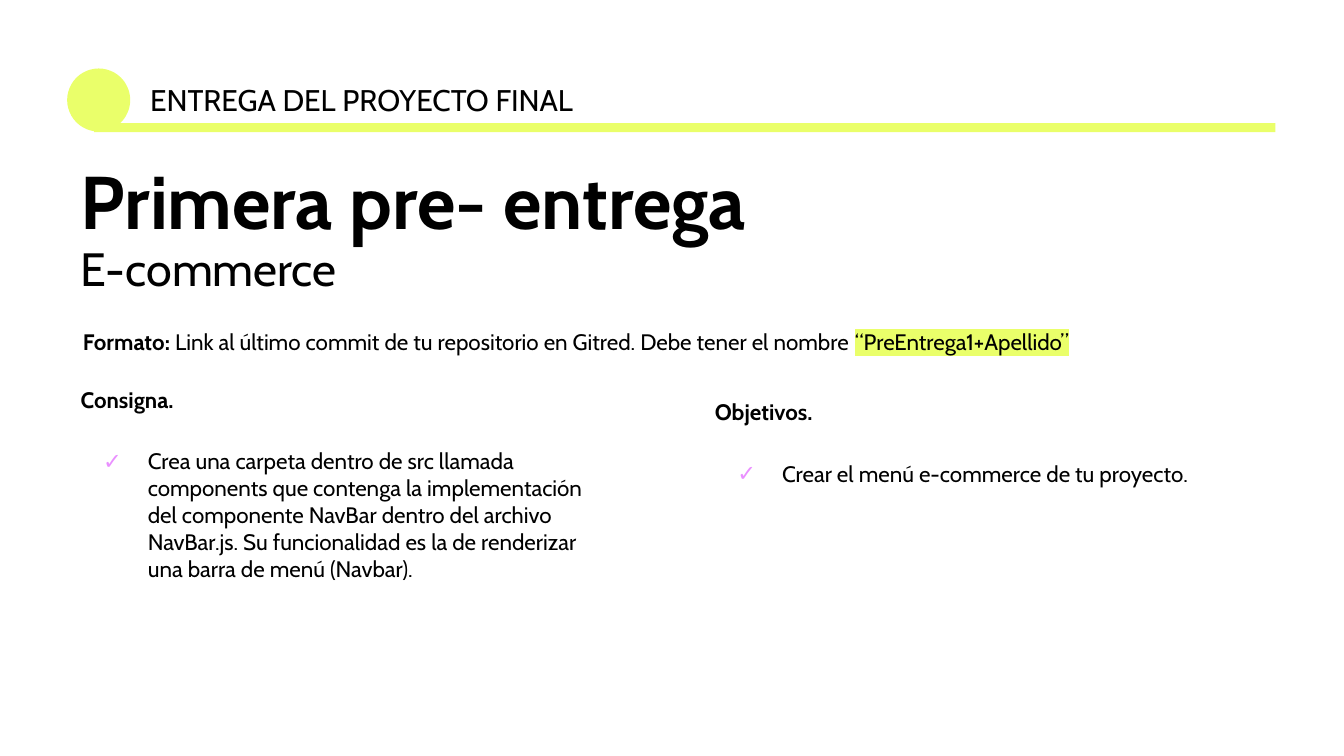
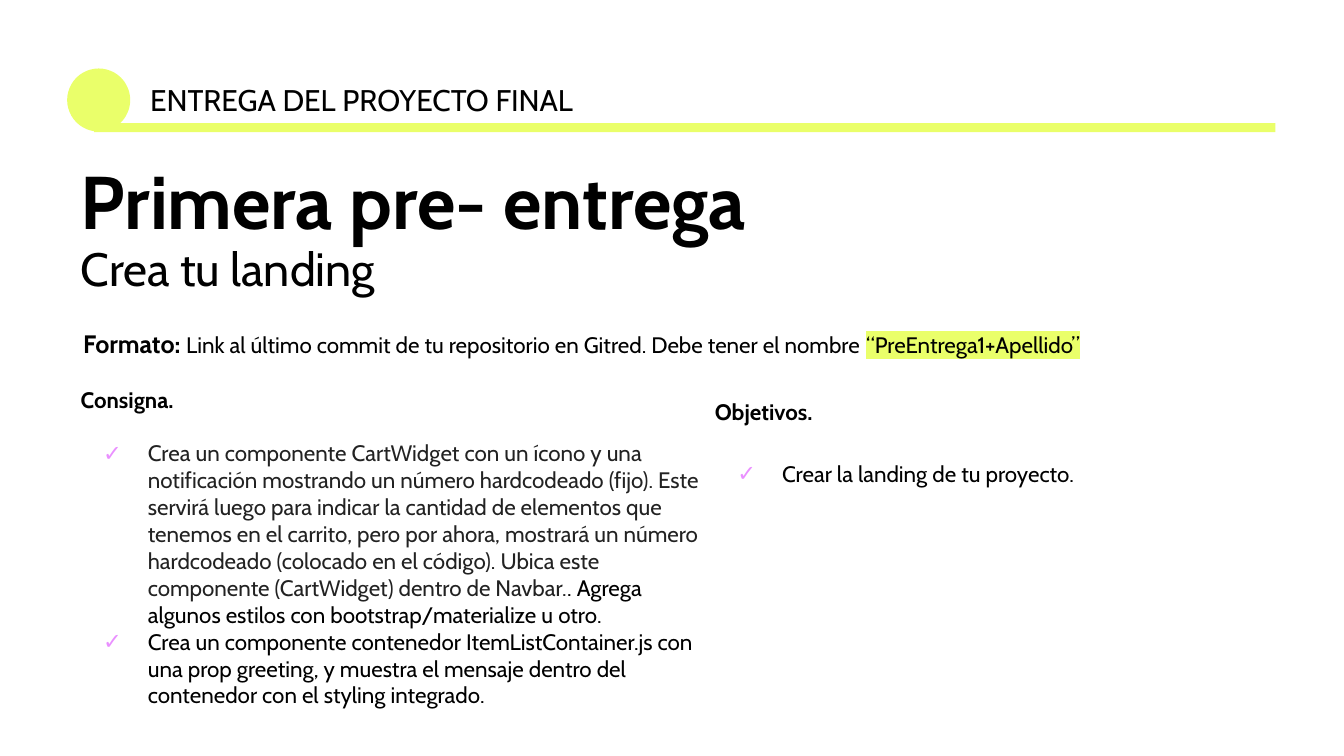
from dataclasses import dataclass

from lxml import etree
from pptx import Presentation
from pptx.dml.color import RGBColor
from pptx.enum.shapes import MSO_SHAPE
from pptx.enum.text import MSO_ANCHOR, MSO_AUTO_SIZE, PP_ALIGN
from pptx.oxml.ns import qn
from pptx.util import Pt

OVAL, RECT = MSO_SHAPE.OVAL, MSO_SHAPE.RECTANGLE
TOP, LEFT = MSO_ANCHOR.TOP, PP_ALIGN.LEFT
FIXED = MSO_AUTO_SIZE.NONE


@dataclass(frozen=True)
class Theme:
    font: str = "Cabin"
    ink: str = "000000"
    gray: str = "222222"
    lime: str = "EAFF6A"
    pink: str = "EA90FF"
    title: float = 40
    sub: float = 25
    label: float = 16
    lead: float = 13.5
    body: float = 12


theme = Theme()


def write(para, text, size=theme.body, bold=False, color=theme.ink, mark=None):
    """Add one run to a paragraph; mark is a highlight colour."""
    run = para.add_run()
    run.text = text
    font = run.font
    font.size, font.bold, font.name = Pt(size), bold, theme.font
    font.color.rgb = RGBColor.from_string(color)
    if mark:
        light = etree.Element(qn("a:highlight"))
        etree.SubElement(light, qn("a:srgbClr"), val=mark)
        font._element.find(qn("a:latin")).addprevious(light)


def place(shape, box):
    """Move a text shape and return its frame, ready for text."""
    shape.left, shape.top, shape.width, shape.height = map(Pt, box)
    frame = shape.text_frame
    frame.word_wrap, frame.auto_size = True, FIXED
    frame.vertical_anchor = TOP
    frame.margin_left = frame.margin_right = Pt(7.2)
    frame.margin_top = frame.margin_bottom = Pt(7.2)
    return frame


# Slide content: each bullet is a list of (text, colour) runs
pages = [
    {
        "sub": "E-commerce",
        "lead": theme.body,
        "width": 616.3,
        "depth": 28.8,
        "tasks": [[(
            "Crea una carpeta dentro de src llamada components que contenga la "
            "implementación del componente NavBar dentro del archivo NavBar.js. "
            "Su funcionalidad es la de renderizar una barra de menú (Navbar).",
            theme.ink)]],
        "task box": (36, 199.4, 301.7, 167),
        "task gap": 18.8,
        "goal": "Crear el menú e-commerce de tu proyecto.",
        "goal depth": 90.7,
    },
    {
        "sub": "Crea tu landing",
        "lead": theme.lead,
        "width": 627.8,
        "depth": 31,
        "tasks": [
            [("Crea un componente CartWidget con un ícono y una notificación "
              "mostrando un número hardcodeado (fijo). Este servirá luego para "
              "indicar la cantidad de elementos que tenemos en el carrito, pero "
              "por ahora, mostrará un número hardcodeado (colocado en el código). "
              "Ubica este componente (CartWidget) dentro de Navbar.", theme.gray),
             (". Agrega algunos estilos con bootstrap/materialize u otro.",
              theme.ink)],
            [("Crea un componente contenedor ItemListContainer.js con una prop "
              "greeting, y muestra el mensaje dentro del contenedor con el "
              "styling integrado.", theme.ink)],
        ],
        "task box": (36, 199.4, 354.2, 235.4),
        "task gap": 14.5,
        "goal": "Crear la landing de tu proyecto.",
        "goal depth": 75.6,
    },
]

deck = Presentation()
deck.slide_width, deck.slide_height = Pt(720), Pt(405)
layout = deck.slide_layouts.get_by_name("Two Content")

for page in pages:
    slide = deck.slides.add_slide(layout)
    shapes = slide.shapes

    # Header band
    for kind, box in ((OVAL, (36, 36.7, 33.8, 33.8)),
                      (RECT, (50.4, 66, 632.9, 4.8))):
        band = shapes.add_shape(kind, *map(Pt, box))
        band.shadow.inherit = False
        band.fill.solid()
        band.fill.fore_color.rgb = RGBColor.from_string(theme.lime)
        band.line.fill.background()
    box = (73.4, 36.7, 252, 33.8)
    frame = place(shapes.add_textbox(*map(Pt, box)), box)
    write(frame.paragraphs[0], "ENTREGA DEL PROYECTO FINAL", size=theme.label)

    # Title and subtitle
    frame = place(shapes.title, (36, 81.4, 575.3, 85.7))
    write(frame.paragraphs[0], "Primera pre- entrega", size=theme.title, bold=True)
    write(frame.add_paragraph(), page["sub"], size=theme.sub)
    for para in frame.paragraphs:
        para.alignment, para.line_spacing = LEFT, 0.9

    # Format line
    box = (37.4, 168.5, page["width"], page["depth"])
    para = place(shapes.add_textbox(*map(Pt, box)), box).paragraphs[0]
    write(para, "Formato: ", size=page["lead"], bold=True)
    write(para, "Link al último commit de tu repositorio en Gitred. "
                "Debe tener el nombre ")
    write(para, "“PreEntrega1+Apellido”", mark=theme.lime)

    # Columns: a bold heading over check-marked items
    columns = (
        (1, "Consigna.", page["task box"], page["task gap"], page["tasks"]),
        (2, "Objetivos.", (375.8, 205.9, 289.4, page["goal depth"]), 18.8,
         [[(page["goal"], theme.ink)]]),
    )
    for slot, head, box, gap, items in columns:
        frame = place(slide.placeholders[slot], box)
        para = frame.paragraphs[0]
        write(para, head, bold=True)
        para.space_before, para.space_after = Pt(0), Pt(gap)
        props = para._p.get_or_add_pPr()
        props.set("marL", "0")
        props.set("indent", "0")
        etree.SubElement(props, qn("a:buNone"))
        for item in items:
            para = frame.add_paragraph()
            for text, color in item:
                write(para, text, color=color)
            para.space_before = Pt(0)
            props = para._p.get_or_add_pPr()
            props.set("marL", str(Pt(36)))
            props.set("indent", str(Pt(-24)))
            tint = etree.SubElement(props, qn("a:buClr"))
            etree.SubElement(tint, qn("a:srgbClr"), val=theme.pink)
            etree.SubElement(props, qn("a:buFont"), typeface=theme.font)
            etree.SubElement(props, qn("a:buChar"), char="✓")

deck.save("out.pptx")
